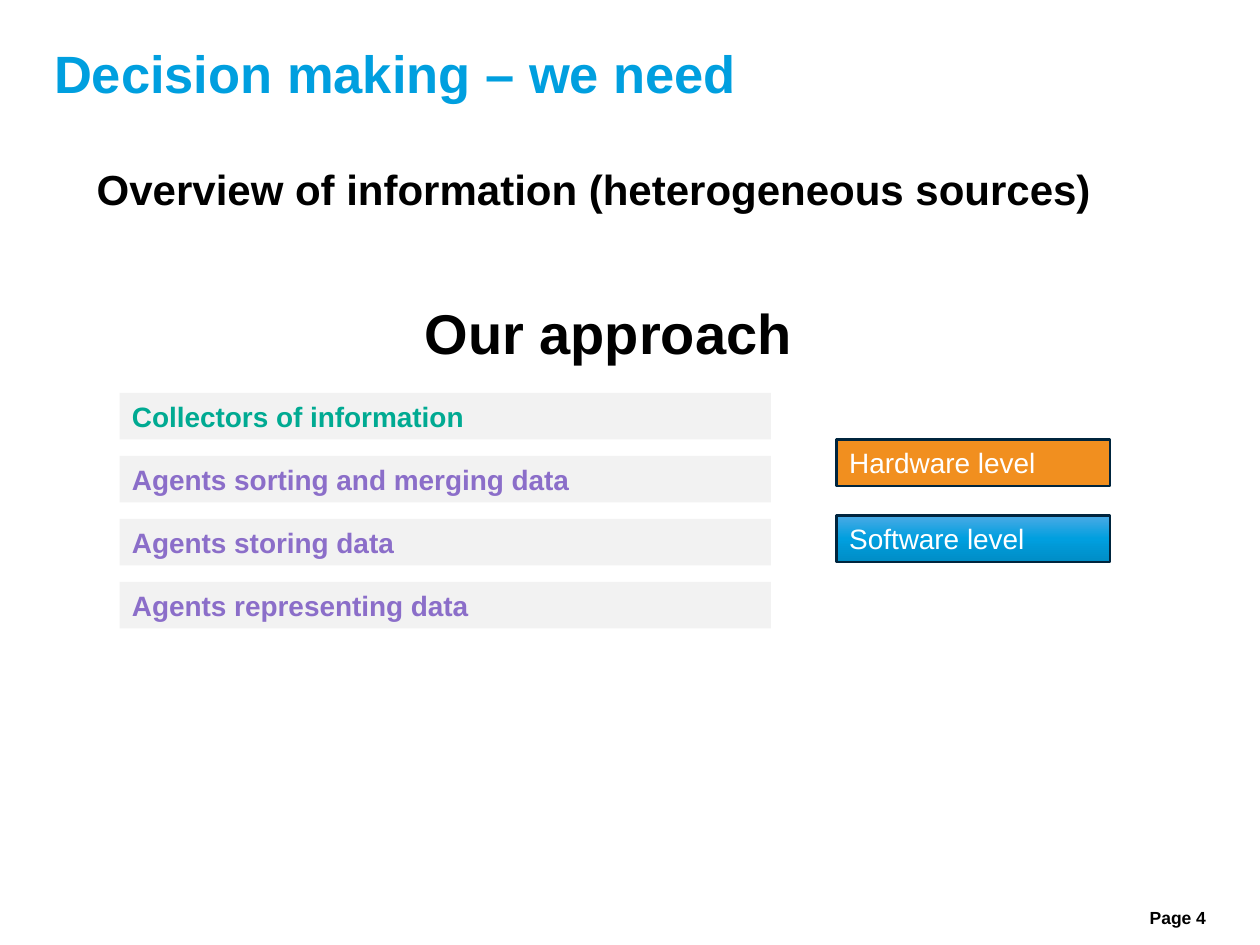
from copy import deepcopy

from pptx import Presentation
from pptx.dml.color import RGBColor
from pptx.enum.shapes import MSO_SHAPE
from pptx.enum.text import MSO_ANCHOR, PP_ALIGN
from pptx.util import Cm, Pt

BLACK, WHITE, BLUE = "000000", "FFFFFF", "009FDF"
GREEN, PURPLE, ORANGE = "00AA92", "8B6EC9", "F18F1F"
GREY, NAVY = "F2F2F2", "00253E"
SOFTWARE_STOPS = ["4BAAE5", BLUE, "008DC6"]


def rgb(value):
    return RGBColor.from_string(value)


class SlideBuilder:
    font = "Arial"
    bar_height = 0.94
    bar_size = 16

    def __init__(self, slide):
        self.slide = slide

    def set_text(self, sp, text, size, color, bold, align=PP_ALIGN.LEFT):
        tf = sp.text_frame
        tf.text = text
        tf.vertical_anchor = MSO_ANCHOR.TOP
        p = tf.paragraphs[0]
        p.alignment = align
        f = p.runs[0].font
        f.name, f.size, f.bold = self.font, Pt(size), bold
        f.color.rgb = rgb(color)
        return p

    def text(self, text, x, y, w, h, size, color=BLACK, inset=True,
             wrap=True, align=PP_ALIGN.LEFT):
        sp = self.slide.shapes.add_textbox(Cm(x), Cm(y), Cm(w), Cm(h))
        tf = sp.text_frame
        tf.word_wrap = wrap
        if not inset:
            tf.margin_left = tf.margin_right = 0
            tf.margin_top = tf.margin_bottom = 0
        return self.set_text(sp, text, size, color, True, align)

    def bar(self, text, x, y, w, fill, color, line=None, bold=False):
        """Add a labelled rectangle; a list as fill gives a vertical gradient."""
        sp = self.slide.shapes.add_shape(
            MSO_SHAPE.RECTANGLE, Cm(x), Cm(y), Cm(w), Cm(self.bar_height))
        sp.shadow.inherit = False
        if isinstance(fill, list):
            self.gradient(sp, fill)
        else:
            sp.fill.solid()
            sp.fill.fore_color.rgb = rgb(fill)
        if line:
            sp.line.color.rgb = rgb(line)
            sp.line.width = Pt(1.5)
        else:
            sp.line.fill.background()
        sp.text_frame.word_wrap = True
        self.set_text(sp, text, self.bar_size, color, bold)

    def gradient(self, sp, colors):
        """Fill from top to bottom with evenly spaced colours."""
        sp.fill.gradient()
        sp.fill.gradient_angle = 270
        first = sp.element.xpath(".//a:gs")[0]
        for _ in colors[2:]:
            first.addnext(deepcopy(first))
        for i, (stop, color) in enumerate(zip(sp.fill.gradient_stops, colors)):
            stop.position = i / (len(colors) - 1)
            stop.color.rgb = rgb(color)


def main():
    prs = Presentation()
    prs.slide_width, prs.slide_height = Cm(25.4), Cm(19.05)
    s = SlideBuilder(prs.slides.add_slide(prs.slide_layouts[6]))

    s.text("Page 4", 22.61, 18.29, 1.7, 0.51, 10, inset=False,
           align=PP_ALIGN.RIGHT)
    title = s.text("Decision making – we need", 1.09, 0.97, 23.22, 1.24, 30,
                   BLUE, inset=False)
    title.line_spacing = 0.9
    s.text("Overview of information (heterogeneous sources)",
           1.7, 3.18, 20.7, 2.31, 24)

    steps = [
        ("Collectors of information", GREEN),
        ("Agents sorting and merging data", PURPLE),
        ("Agents storing data", PURPLE),
        ("Agents representing data", PURPLE),
    ]
    for i, (label, color) in enumerate(steps):
        s.bar(label, 2.41, 7.92 + i * 1.27, 13.13, GREY, color, bold=True)

    levels = [("Hardware level", ORANGE), ("Software level", SOFTWARE_STOPS)]
    for i, (label, fill) in enumerate(levels):
        s.bar(label, 16.87, 8.86 + i * 1.53, 5.51, fill, WHITE, line=NAVY)

    s.text("Our approach", 8.31, 5.89, 7.98, 1.63, 32, wrap=False)
    prs.save("out.pptx")


if __name__ == "__main__":
    main()
